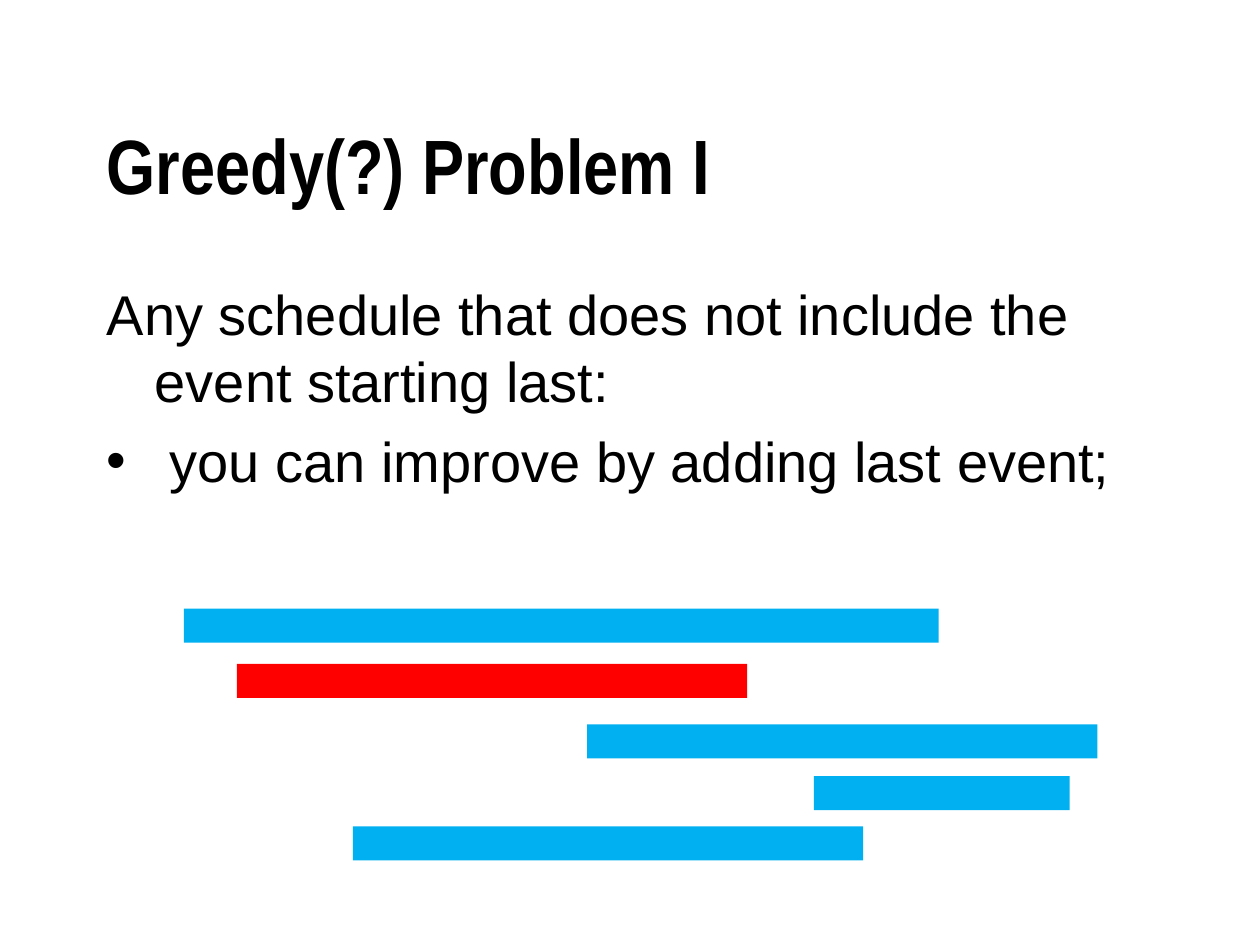
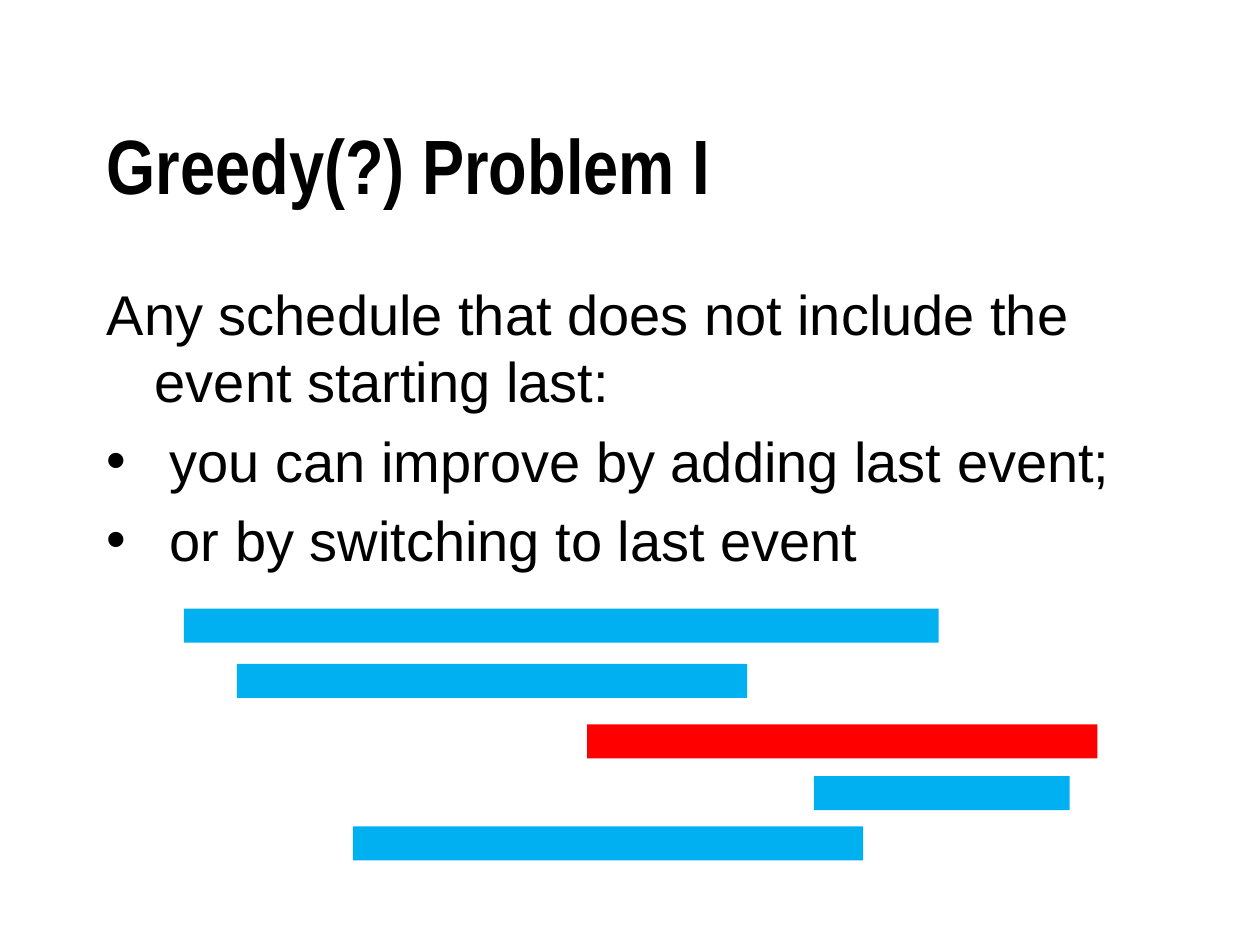
"""Build two slides on improving a schedule with the event that starts last."""
from dataclasses import dataclass

from lxml.etree import SubElement
from pptx import Presentation
from pptx.dml.color import RGBColor
from pptx.enum.shapes import MSO_SHAPE
from pptx.enum.text import MSO_ANCHOR
from pptx.oxml.ns import qn
from pptx.util import Inches, Pt

TITLE = "Greedy(?) Problem I"
LEAD = "Any schedule that does not include the event starting last:"
ADDING = "you can improve by adding last event;"
SWITCHING = "or by switching to last event"

SLIDES = [
    {"bullets": [ADDING], "chosen": "second"},
    {"bullets": [ADDING, SWITCHING], "chosen": "third"},
]

EVENTS = [
    ("first", 1.46, 4.83, 5.99),
    ("second", 1.88, 5.27, 4.05),
    ("third", 4.66, 5.75, 4.05),
    ("last", 6.46, 6.16, 2.03),
    ("fifth", 2.8, 6.56, 4.05),
]
EVENT_HEIGHT = 0.27
TITLE_BOX = (0.75, 0.67, 8.5, 1.25)
BODY_BOX = (0.75, 2.17, 8.5, 4.5)
LEAD_INDENT = 0.38
BULLET_INDENT = 0.5


@dataclass(frozen=True)
class Theme:
    text: RGBColor = RGBColor(0x00, 0x00, 0x00)
    event: RGBColor = RGBColor(0x00, 0xB0, 0xF0)
    chosen: RGBColor = RGBColor(0xFF, 0x00, 0x00)
    title_font: str = "Arial Narrow"
    body_font: str = "Arial"
    title_size: Pt = Pt(44)
    body_size: Pt = Pt(32)
    paragraph_gap: Pt = Pt(7)


THEME = Theme()


def add_text_frame(slide, box, anchor):
    text_frame = slide.shapes.add_textbox(*map(Inches, box)).text_frame
    text_frame.word_wrap = True
    text_frame.vertical_anchor = anchor
    return text_frame


def format_runs(paragraph, font_name, size, bold=False):
    for run in paragraph.runs:
        run.font.name = font_name
        run.font.size = size
        run.font.bold = bold
        run.font.color.rgb = THEME.text


def set_hanging_indent(paragraph, indent, bullet=None):
    properties = paragraph._p.get_or_add_pPr()
    properties.set("marL", str(Inches(indent)))
    properties.set("indent", str(-Inches(indent)))
    if bullet:
        SubElement(properties, qn("a:buFont"), typeface=THEME.body_font)
        SubElement(properties, qn("a:buChar"), char=bullet)


def add_title(slide):
    text_frame = add_text_frame(slide, TITLE_BOX, MSO_ANCHOR.MIDDLE)
    text_frame.text = TITLE
    format_runs(text_frame.paragraphs[0], THEME.title_font, THEME.title_size, bold=True)


def add_body(slide, bullets):
    text_frame = add_text_frame(slide, BODY_BOX, MSO_ANCHOR.TOP)
    text_frame.text = "\n".join([LEAD, *bullets])
    for index, paragraph in enumerate(text_frame.paragraphs):
        paragraph.space_before = THEME.paragraph_gap
        format_runs(paragraph, THEME.body_font, THEME.body_size)
        if index == 0:
            set_hanging_indent(paragraph, LEAD_INDENT)
        else:
            set_hanging_indent(paragraph, BULLET_INDENT, "•")


def add_events(slide, chosen):
    for name, left, top, width in EVENTS:
        box = map(Inches, (left, top, width, EVENT_HEIGHT))
        shape = slide.shapes.add_shape(MSO_SHAPE.RECTANGLE, *box)
        shape.shadow.inherit = False
        shape.fill.solid()
        shape.fill.fore_color.rgb = THEME.chosen if name == chosen else THEME.event
        shape.line.fill.background()


def main():
    presentation = Presentation()
    presentation.slide_width = Inches(10)
    presentation.slide_height = Inches(7.5)
    blank_layout = presentation.slide_layouts[6]
    for content in SLIDES:
        slide = presentation.slides.add_slide(blank_layout)
        add_title(slide)
        add_body(slide, content["bullets"])
        add_events(slide, content["chosen"])
    presentation.save("out.pptx")


if __name__ == "__main__":
    main()
